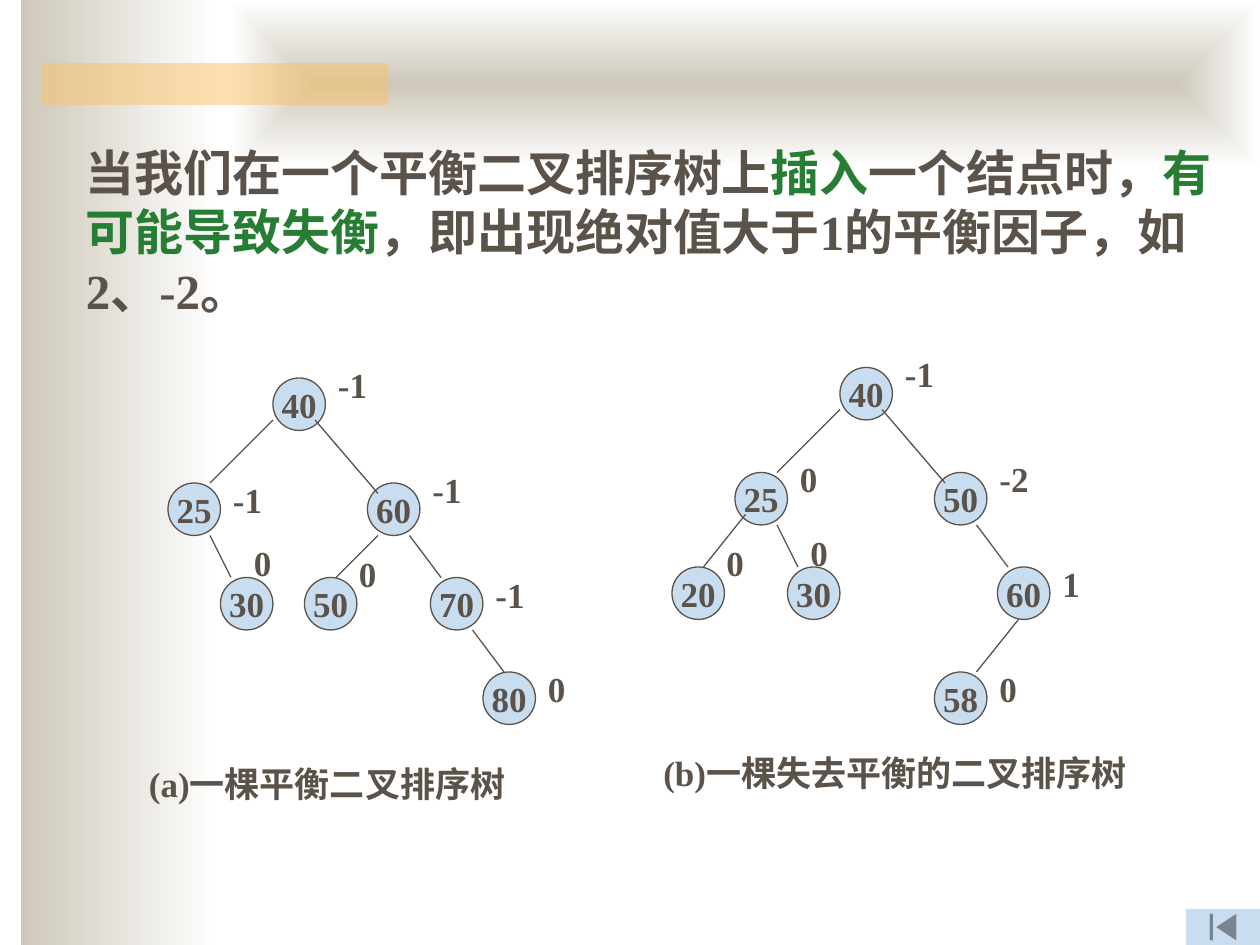
import pptx
import pptx.util
import pptx.dml.color
import pptx.enum.shapes
import pptx.enum.text
import pptx.oxml
import pptx.oxml.ns
import lxml.etree

COLORS = {"ink": "5B5249", "node": "C9DDF1", "accent": "277D33",
          "sand": "CEC8BA", "white": "FFFFFF", "bar": "FAC164"}
LATIN = "Times New Roman"
CJK = "Noto Sans CJK SC"
SHAPE = pptx.enum.shapes.MSO_SHAPE
NODE = 5

BALANCED = {
    "nodes": [("40", 26, 36), ("25", 16, 46), ("60", 35, 46), ("30", 21, 55),
              ("50", 29, 55), ("70", 41, 55), ("80", 46, 64)],
    "edges": [(26, 40, 20, 46), (20, 51, 22, 55), (30, 40, 36, 47),
              (36, 51, 32, 55), (39, 51, 42, 55), (45, 60, 48, 64)],
    "factors": [("-1", 31, 34), ("-1", 40, 44), ("-1", 46, 54), ("-1", 21, 45),
                ("0", 23, 51), ("0", 33, 52), ("0", 51, 63)],
}
UNBALANCED = {
    "nodes": [("40", 80, 35), ("25", 70, 45), ("50", 89, 45), ("30", 75, 54),
              ("58", 89, 64), ("60", 95, 54), ("20", 64, 54)],
    "edges": [(80, 39, 74, 45), (74, 50, 76, 54), (84, 39, 90, 46),
              (97, 59, 93, 64), (93, 50, 96, 54), (71, 49, 67, 54)],
    "factors": [("-1", 85, 33), ("-2", 94, 43), ("1", 100, 53), ("0", 75, 43),
                ("0", 76, 50), ("0", 94, 63), ("0", 68, 51)],
}
INTRO = [("当我们在一个平衡二叉排序树上", CJK, "ink"), ("插入", CJK, "accent"),
         ("一个结点时，", CJK, "ink"), ("有可能导致失衡", CJK, "accent"),
         ("，即出现绝对值大于", CJK, "ink"), ("1", LATIN, "ink"),
         ("的平衡因子，如", CJK, "ink"), ("2", LATIN, "ink"),
         ("、", CJK, "ink"), ("-2", LATIN, "ink"), ("。", CJK, "ink")]


def grid(*cells):
    return [pptx.util.Inches(c / 12) for c in cells]


def rgb(name):
    return pptx.dml.color.RGBColor.from_string(COLORS[name])


def style_run(r, size, font=LATIN, color="ink"):
    r.font.size = pptx.util.Pt(size)
    r.font.bold = True
    r.font.color.rgb = rgb(color)
    r.font.name = font
    ea = lxml.etree.SubElement(r.font._element, pptx.oxml.ns.qn("a:ea"))
    ea.set("typeface", CJK)


def add_filled(shapes, kind, box, color=None):
    sp = shapes.add_shape(kind, *grid(*box))
    sp.shadow.inherit = False
    sp.line.fill.background()
    if color:
        sp.fill.solid()
        sp.fill.fore_color.rgb = rgb(color)
    return sp


def add_gradient(s, box, centred=False):
    sp = add_filled(s.shapes, SHAPE.RECTANGLE, box)
    sp.fill.gradient()
    sp.fill.gradient_angle = 0
    for stop, color, position in zip(sp.fill.gradient_stops, ("sand", "white"), (0, 1)):
        stop.color.rgb = rgb(color)
        stop.position = position
    if centred:
        lin = sp._element.spPr.find(".//" + pptx.oxml.ns.qn("a:lin"))
        lin.getparent().replace(lin, pptx.oxml.parse_xml(
            f'<a:path {pptx.oxml.ns.nsdecls("a")} path="rect">'
            '<a:fillToRect l="50000" t="50000" r="50000" b="50000"/></a:path>'))


def add_background(s):
    add_gradient(s, (2, 0, 19, 90))
    add_gradient(s, (22, 0, 98, 16), centred=True)
    bar = add_filled(s.shapes, SHAPE.RECTANGLE, (4, 6, 33, 4), "bar")
    color = bar._element.spPr.find(".//" + pptx.oxml.ns.qn("a:srgbClr"))
    lxml.etree.SubElement(color, pptx.oxml.ns.qn("a:alpha")).set("val", "50000")
    add_filled(s.shapes, SHAPE.ACTION_BUTTON_BEGINNING, (112.95, 86.6, 7.05, 3.4), "node")


def add_node(shapes, text, col, row):
    sp = add_filled(shapes, SHAPE.OVAL, (col, row, NODE, NODE), "node")
    sp.line.color.rgb = rgb("ink")
    sp.line.width = pptx.util.Pt(0.75)
    tf = sp.text_frame
    tf.text = text
    tf.word_wrap = False
    tf.vertical_anchor = pptx.enum.text.MSO_ANCHOR.MIDDLE
    p = tf.paragraphs[0]
    p.alignment = pptx.enum.text.PP_ALIGN.CENTER
    style_run(p.runs[0], 20)


def add_edge(shapes, ends):
    line = shapes.add_connector(pptx.enum.shapes.MSO_CONNECTOR.STRAIGHT, *grid(*ends))
    line.line.color.rgb = rgb("ink")
    line.line.width = pptx.util.Pt(0.75)
    lxml.etree.SubElement(line._element.spPr, pptx.oxml.ns.qn("a:effectLst"))


def add_text(shapes, box, runs, size):
    sp = shapes.add_textbox(*grid(*box))
    tf = sp.text_frame
    tf.word_wrap = True
    p = tf.paragraphs[0]
    for text, font, color in runs:
        r = p.add_run()
        r.text = text
        style_run(r, size, font, color)


def add_tree(s, tree):
    shapes = s.shapes.add_group_shape().shapes
    for node in tree["nodes"]:
        add_node(shapes, *node)
    for ends in tree["edges"]:
        add_edge(shapes, ends)
    for text, col, row in tree["factors"]:
        add_text(shapes, (col, row, 6, 5.25), [(text, LATIN, "ink")], 20)


def main():
    prs = pptx.Presentation()
    prs.slide_width, prs.slide_height = grid(120, 90)
    s = prs.slides.add_slide(prs.slide_layouts[6])
    add_background(s)
    add_tree(s, BALANCED)
    add_tree(s, UNBALANCED)
    add_text(s.shapes, (13, 72, 40, 5.25), [("(a)一棵平衡二叉排序树", LATIN, "ink")], 20)
    add_text(s.shapes, (62, 71, 48, 5.25), [("(b)一棵失去平衡的二叉排序树", LATIN, "ink")], 20)
    add_text(s.shapes, (7, 13, 110, 18), INTRO, 28)
    prs.save("out.pptx")


if __name__ == "__main__":
    main()
